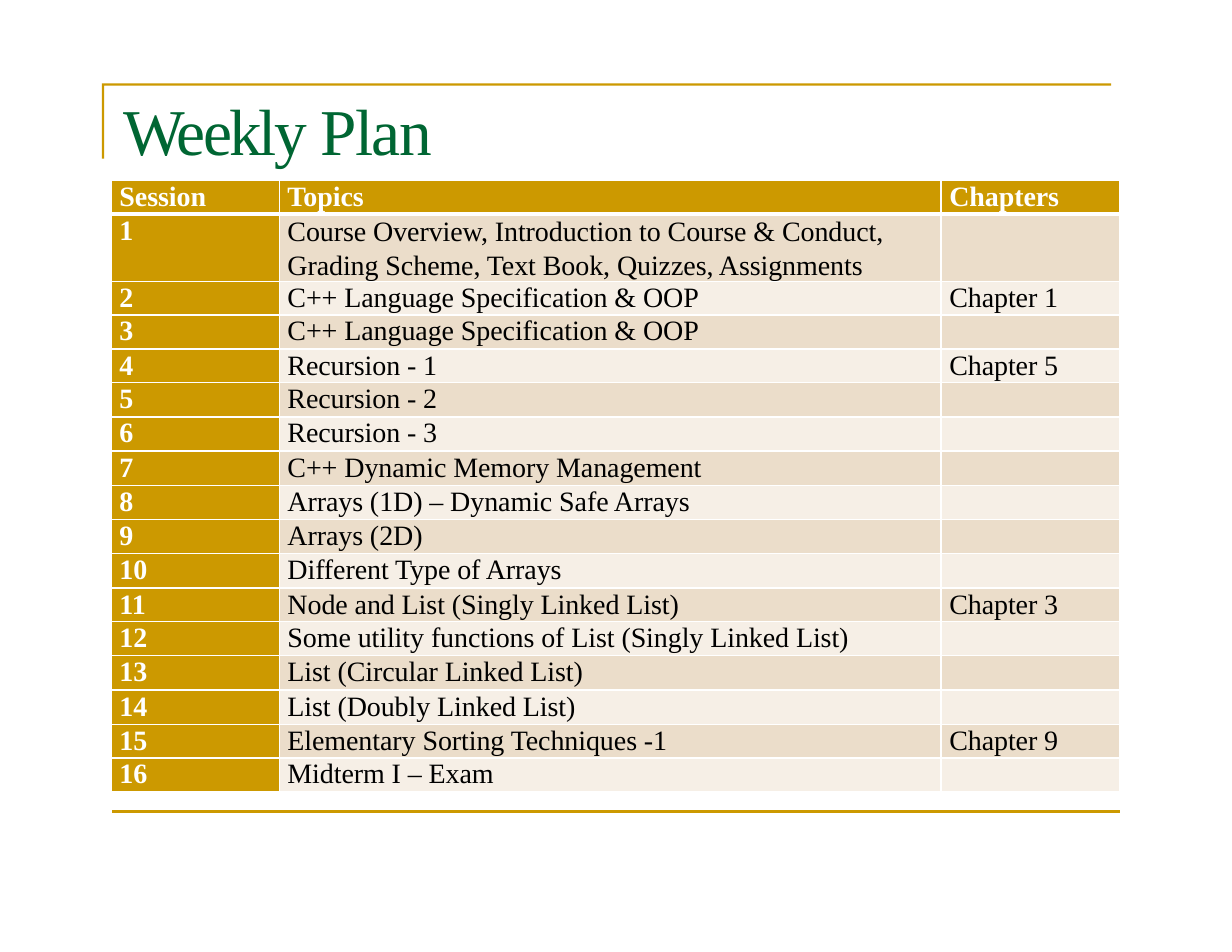
from lxml import etree
from pptx import Presentation
from pptx.dml.color import RGBColor
from pptx.enum.text import MSO_ANCHOR, MSO_AUTO_SIZE, PP_ALIGN
from pptx.oxml.ns import qn
from pptx.util import Pt

TOP = MSO_ANCHOR.TOP
NO_FIT = MSO_AUTO_SIZE.NONE
LEFT = PP_ALIGN.LEFT

TITLE = [("Weekly ", -1.9), ("Plan", -0.8)]
HEADER = ("Session", "Topics", "Chapters")
TOPICS = [
    "Course Overview, Introduction to Course & Conduct, Grading Scheme, Text Book, Quizzes, Assignments",
    "C++ Language Specification & OOP",
    "C++ Language Specification & OOP",
    "Recursion - 1",
    "Recursion - 2",
    "Recursion - 3",
    "C++ Dynamic Memory Management",
    "Arrays (1D) – Dynamic Safe Arrays",
    "Arrays (2D)",
    "Different Type of Arrays",
    "Node and List (Singly Linked List)",
    "Some utility functions of List (Singly Linked List)",
    "List (Circular Linked List)",
    "List (Doubly Linked List)",
    "Elementary Sorting Techniques -1",
    "Midterm I – Exam",
]
CHAPTERS = {2: "Chapter 1", 4: "Chapter 5", 11: "Chapter 3", 15: "Chapter 9"}

THEME = {
    "font": "Times New Roman",
    "title_size": 42,
    "body_size": 18,
    "title": "006633",
    "accent": "CC9900",
    "bands": ("EBDDCA", "F6EFE6"),
    "light": "FFFFFF",
    "dark": "000000",
    "tracking": -0.05,
}

TABLE_LEFT, TABLE_TOP = 71.5, 116
COLUMNS = (108, 425.5, 114.5)
ROW_HEIGHT = 21.6
RULE = 1.44
FRAME_LEFT, FRAME_TOP, FRAME_RIGHT, FRAME_BOTTOM = 65.5, 53.6, 714.2, 102
FOOT_LEFT, FOOT_TOP, FOOT_RIGHT = 72, 521, 720

FRAME = [
    (FRAME_RIGHT, FRAME_TOP), (FRAME_LEFT, FRAME_TOP),
    (FRAME_LEFT, FRAME_BOTTOM), (FRAME_LEFT + RULE, FRAME_BOTTOM),
    (FRAME_LEFT + RULE, FRAME_TOP + RULE), (FRAME_RIGHT, FRAME_TOP + RULE),
]
FOOT_RULE = [
    (FOOT_LEFT, FOOT_TOP), (FOOT_RIGHT, FOOT_TOP),
    (FOOT_RIGHT, FOOT_TOP + RULE), (FOOT_LEFT, FOOT_TOP + RULE),
]


def color(name):
    return RGBColor.from_string(name)


def style_span(span, size, ink, bold, tracking):
    span.font.name = THEME["font"]
    span.font.size = Pt(size)
    span.font.bold = bold
    span.font.color.rgb = color(ink)
    span.font._element.set("spc", str(round(tracking * 100)))


def add_outline(page, corners):
    points = [(Pt(x), Pt(y)) for x, y in corners]
    builder = page.shapes.build_freeform(*points[0])
    builder.add_line_segments(points[1:], close=True)
    shape = builder.convert_to_shape()
    shape.shadow.inherit = False
    shape.fill.solid()
    shape.fill.fore_color.rgb = color(THEME["accent"])
    shape.line.fill.background()


def add_title(page):
    box = page.shapes.title
    box.left, box.top, box.width, box.height = Pt(78.5), Pt(57), Pt(203), Pt(52.5)
    frame = box.text_frame
    frame.margin_left = frame.margin_right = frame.margin_bottom = 0
    frame.margin_top = Pt(1)
    frame.vertical_anchor = TOP
    frame.auto_size = NO_FIT
    frame.word_wrap = False
    para = frame.paragraphs[0]
    para.alignment = LEFT
    para._p.get_or_add_pPr().set("marL", str(Pt(0.9)))
    for words, tracking in TITLE:
        span = para.add_run()
        span.text = words
        style_span(span, THEME["title_size"], THEME["title"], False, tracking)


def set_borders(cell, row):
    properties = cell._tc.get_or_add_tcPr()
    widths = {"L": 1, "R": 1, "T": 3 if row == 1 else 1, "B": 3 if row == 0 else 1}
    for side, width in widths.items():
        line = etree.SubElement(properties, qn(f"a:ln{side}"), w=str(Pt(width)))
        fill = etree.SubElement(line, qn("a:solidFill"))
        etree.SubElement(fill, qn("a:srgbClr"), val=THEME["light"])


def fill_cell(cell, words, row, column):
    strong = row == 0 or column == 0
    cell.margin_left = cell.margin_right = cell.margin_top = cell.margin_bottom = 0
    cell.vertical_anchor = TOP
    set_borders(cell, row)
    cell.fill.solid()
    cell.fill.fore_color.rgb = color(THEME["accent"] if strong else THEME["bands"][(row - 1) % 2])
    para = cell.text_frame.paragraphs[0]
    para.text = words
    para.alignment = LEFT
    para.line_spacing = Pt(ROW_HEIGHT if row == 1 and column == 1 else 20.6)
    para._p.get_or_add_pPr().set("marL", str(Pt(5.3)))
    for span in para.runs:
        ink = THEME["light"] if strong else THEME["dark"]
        style_span(span, THEME["body_size"], ink, strong, THEME["tracking"])


def add_plan(page):
    rows = [HEADER] + [
        (str(session), topic, CHAPTERS.get(session, ""))
        for session, topic in enumerate(TOPICS, 1)
    ]
    heights = [ROW_HEIGHT * (2 if row == 1 else 1) for row in range(len(rows))]
    table = page.shapes.add_table(
        len(rows), len(COLUMNS), Pt(TABLE_LEFT), Pt(TABLE_TOP), Pt(sum(COLUMNS)), Pt(sum(heights))
    ).table
    for column, width in enumerate(COLUMNS):
        table.columns[column].width = Pt(width)
    for row, values in enumerate(rows):
        table.rows[row].height = Pt(heights[row])
        for column, words in enumerate(values):
            fill_cell(table.cell(row, column), words, row, column)


def main():
    deck = Presentation()
    deck.slide_width, deck.slide_height = Pt(792), Pt(612)
    page = deck.slides.add_slide(deck.slide_layouts.get_by_name("Title Only"))
    add_outline(page, FRAME)
    add_outline(page, FOOT_RULE)
    add_title(page)
    add_plan(page)
    deck.save("out.pptx")


if __name__ == "__main__":
    main()
